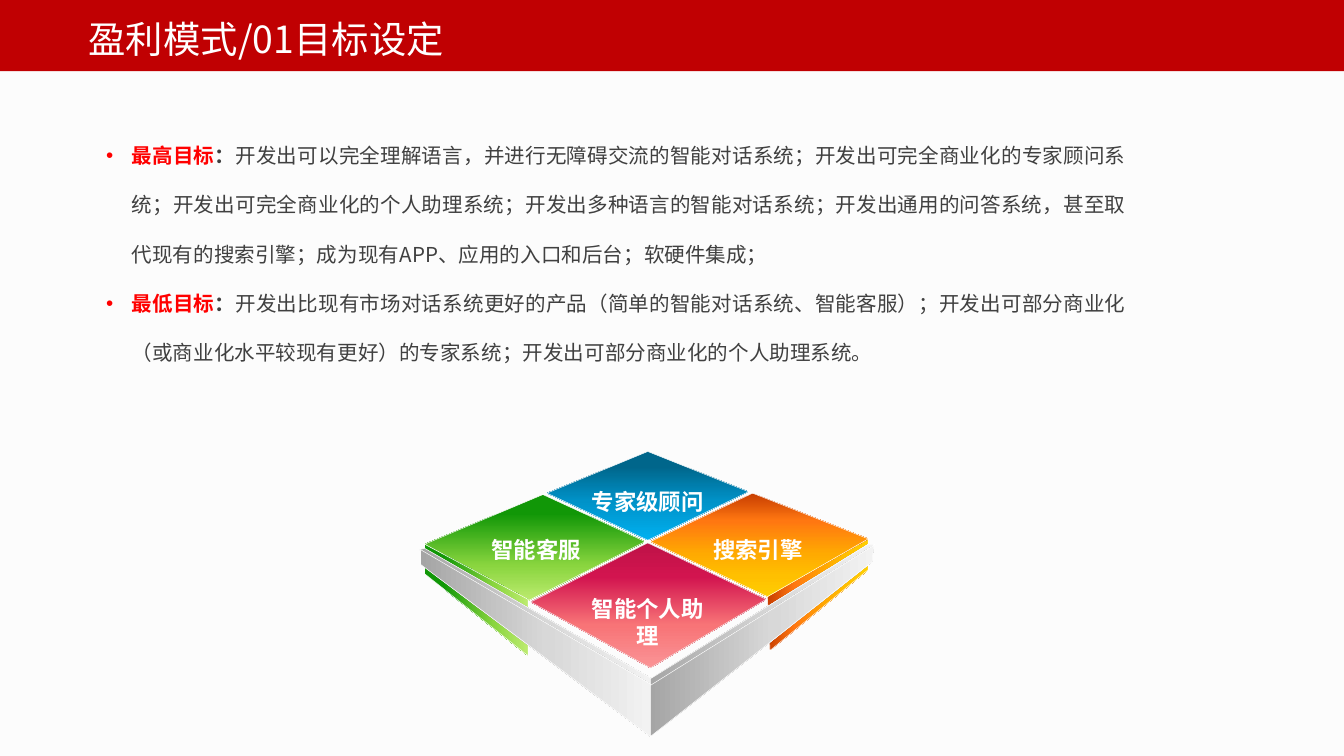
from lxml.etree import SubElement
from pptx import Presentation
from pptx.dml.color import RGBColor
from pptx.enum.shapes import MSO_SHAPE as Shape
from pptx.enum.text import MSO_AUTO_SIZE as AutoSize, PP_ALIGN as Align
from pptx.oxml.ns import qn
from pptx.util import Inches, Pt

# A 16:9 slide, divided into a square grid 1000 columns wide
WIDTH = Inches(10)
HEIGHT = WIDTH * 9 // 16
UNIT = WIDTH // 1000

FONT = "Noto Sans CJK SC"
WHITE, RED, BRIGHT_RED, DARK = "FFFFFF", "C00002", "FF0000", "404040"

# Gradients: position in percent and colour
ORANGE = [(0, "C73E01"), (27, "FF7711"), (59, "FFAA01"), (80, "FFC000"), (100, "FECE02")]
CRIMSON = [(0, "BE1247"), (27, "D2144F"), (66, "F87477"), (100, "FA9496")]
GREEN = [(0, "119707"), (18, "119707"), (67, "8AD53F"), (100, "BCEB6F")]
BLUE = [(0, "00668B"), (17, "00668B"), (56, "0092C8"), (100, "00B0F0")]
GREY = [(0, "A5A5A5"), (55, "D8D8D8"), (100, "F2F2F2")]
ACROSS, DOWN = 0, 270

# The platform is drawn on a grid of this many columns and rows
COLUMNS, ROWS = 339, 213
FACES = [  # gradient, direction, outline, corners; from back to front
    (ORANGE, ACROSS, WHITE, [(259, 108), (261, 148), (334, 88), (334, 64)]),
    (CRIMSON, DOWN, "F2F2F2", [(172, 161), (83, 112), (170, 68), (258, 110)]),
    (ORANGE, DOWN, WHITE, [(259, 108), (172, 67), (248, 31), (334, 65)]),
    (GREEN, DOWN, WHITE, [(81, 111), (168, 67), (92, 32), (4, 69)]),
    (BLUE, DOWN, WHITE, [(170, 66), (245, 30), (170, 0), (95, 31)]),
    (GREEN, ACROSS, WHITE, [(81, 110), (81, 152), (4, 91), (4, 69)]),
    (GREY, ACROSS, WHITE, [(173, 169), (173, 207), (0, 73), (4, 72)]),
    (GREY, ACROSS, WHITE, [(172, 169), (172, 208), (339, 69), (334, 69)]),
    (GREY, ACROSS, WHITE, [(172, 173), (172, 212), (1, 84), (1, 73)]),
    (GREY, ACROSS, WHITE, [(172, 174), (172, 212), (337, 82), (338, 70)]),
]
LABELS = [  # text, column, row, rows high
    ("智能个人助理", 113, 102, 51),
    ("智能客服", 30, 58, 31),
    ("搜索引擎", 195, 58, 31),
    ("专家级顾问", 113, 22, 31),
]
LABEL_COLUMNS = 114

GOALS = [
    ("最高目标", "开发出可以完全理解语言，并进行无障碍交流的智能对话系统；开发出可完全商业化的专家顾问系统；"
     "开发出可完全商业化的个人助理系统；开发出多种语言的智能对话系统；开发出通用的问答系统，"
     "甚至取代现有的搜索引擎；成为现有APP、应用的入口和后台；软硬件集成；"),
    ("最低目标", "开发出比现有市场对话系统更好的产品（简单的智能对话系统、智能客服）；"
     "开发出可部分商业化（或商业化水平较现有更好）的专家系统；开发出可部分商业化的个人助理系统。"),
]


def color(value):
    return RGBColor.from_string(value)


def grid_box(left, top, width, height):
    """Turn columns and rows of the slide grid into a box of lengths."""
    return tuple(cells * UNIT for cells in (left, top, width, height))


def format_run(run, size, value, bold=False):
    font = run.font
    font.name, font.size, font.bold = FONT, Pt(size), bold
    font.color.rgb = color(value)
    SubElement(run._r.get_or_add_rPr(), qn("a:ea"), typeface=FONT)


def add_text_frame(slide, box):
    text_frame = slide.shapes.add_textbox(*box).text_frame
    text_frame.word_wrap = True
    text_frame.auto_size = AutoSize.SHAPE_TO_FIT_TEXT
    return text_frame


def add_line_of_text(slide, box, text, size, bold=False, align=Align.LEFT):
    paragraph = add_text_frame(slide, box).paragraphs[0]
    paragraph.text, paragraph.alignment = text, align
    format_run(paragraph.runs[0], size, WHITE, bold)


def fill_gradient(shape, stops, angle):
    shape.fill.gradient()
    shape.fill.gradient_angle = angle
    stop_list = shape._element.spPr.find(qn("a:gradFill")).find(qn("a:gsLst"))
    for old_stop in list(stop_list):
        stop_list.remove(old_stop)
    for position, value in stops:
        stop = SubElement(stop_list, qn("a:gs"), pos=str(position * 1000))
        SubElement(stop, qn("a:srgbClr"), val=value)


def add_header(slide, box):
    left, top, width, height = box
    band = slide.shapes.add_shape(Shape.RECTANGLE, *box)
    band.shadow.inherit = False
    band.fill.solid()
    band.fill.fore_color.rgb = color(RED)
    band.line.fill.background()
    title_box = (left + int(width * 0.056), top + int(height * 0.13),
                 int(width * 0.389), int(height * 0.87))
    add_line_of_text(slide, title_box, "盈利模式/01目标设定", 20)


def add_goals(slide, box):
    text_frame = add_text_frame(slide, box)
    text_frame.margin_left = text_frame.margin_right = 0
    text_frame.margin_top = text_frame.margin_bottom = 0
    indent = Inches(0.19)
    for index, (heading, detail) in enumerate(GOALS):
        paragraph = text_frame.add_paragraph() if index else text_frame.paragraphs[0]
        paragraph.alignment, paragraph.line_spacing = Align.JUSTIFY, 2.0
        properties = paragraph._p.get_or_add_pPr()
        properties.set("marL", str(indent))
        properties.set("indent", str(-indent))
        SubElement(properties, qn("a:buFont"), typeface="Arial")
        SubElement(properties, qn("a:buChar"), char="•")
        parts = [(heading, BRIGHT_RED, True), ("：", DARK, True), (detail, DARK, False)]
        for text, value, bold in parts:
            run = paragraph.add_run()
            run.text = text
            format_run(run, 11, value, bold)


def add_platform(slide, box):
    left, top, width, height = box
    column, row = width / COLUMNS, height / ROWS
    # Coloured tiles and grey sides
    for stops, angle, outline, corners in FACES:
        builder = slide.shapes.build_freeform(*corners[0], scale=(column, row))
        builder.add_line_segments(corners[1:], close=True)
        face = builder.convert_to_shape(left, top)
        face.shadow.inherit = False
        fill_gradient(face, stops, angle)
        face.line.color.rgb = color(outline)
        face.line.width = Pt(0.25)
    # Tile labels
    for text, at_column, at_row, rows in LABELS:
        label_box = (left + int(at_column * column), top + int(at_row * row),
                     int(LABEL_COLUMNS * column), int(rows * row))
        add_line_of_text(slide, label_box, text, 12, True, Align.CENTER)


def main():
    presentation = Presentation()
    presentation.slide_width, presentation.slide_height = WIDTH, HEIGHT
    slide = presentation.slides.add_slide(presentation.slide_layouts[6])
    slide.background.fill.solid()
    slide.background.fill.fore_color.rgb = color("FCFCFC")
    add_header(slide, grid_box(0, 0, 1000, 53))
    add_goals(slide, grid_box(79, 88, 759, 183))
    add_platform(slide, grid_box(312, 336, COLUMNS, ROWS))
    presentation.save("out.pptx")


if __name__ == "__main__":
    main()
